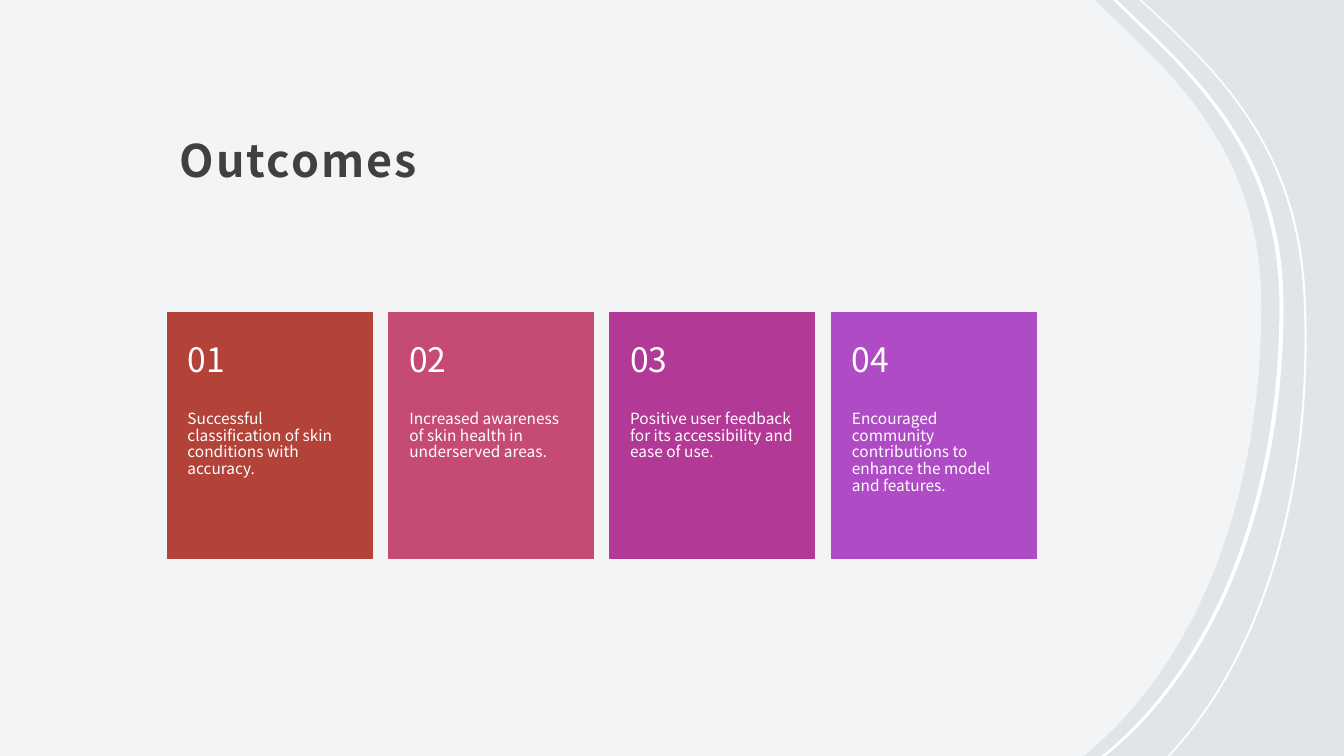
from lxml import etree
from pptx import Presentation
from pptx.dml.color import RGBColor
from pptx.enum.shapes import MSO_SHAPE
from pptx.enum.text import MSO_ANCHOR, MSO_AUTO_SIZE, PP_ALIGN
from pptx.oxml.ns import qn
from pptx.util import Pt

RECT = MSO_SHAPE.RECTANGLE
TOP, MIDDLE, BOTTOM = MSO_ANCHOR.TOP, MSO_ANCHOR.MIDDLE, MSO_ANCHOR.BOTTOM
NO_FIT = MSO_AUTO_SIZE.NONE
LEFT = PP_ALIGN.LEFT

SCALE = 9144
WIDE, HIGH = 1333, 750
FONT = "Noto Sans CJK JP"

COLORS = {
    "back": "E2E5E8",
    "white": "FFFFFF",
    "title": "404040",
    "rust": "B34239",
    "rose": "C54B75",
    "plum": "B33996",
    "violet": "AF4BC5",
}

CARDS = [
    ("rust", "Successful classification of skin conditions with accuracy."),
    ("rose", "Increased awareness of skin health in underserved areas."),
    ("plum", "Positive user feedback for its accessibility and ease of use."),
    ("violet", "Encouraged community contributions to enhance the model and features."),
]
CARD_X, CARD_Y, CARD_W, CARD_H = 166, 310, 203, 244
CARD_SPAN = 659
HEAD_H = 98

INNER = [
    (1086, 0), (1122, 35),
    (1194, 104), (1251, 179), (1251, 304),
    (1251, 492), (1188, 657), (1077, 748),
    (1074, 750),
]
OUTER = [
    (1130, 0), (1156, 24),
    (1229, 93), (1288, 168), (1293, 297),
    (1301, 480), (1254, 645), (1161, 747),
    (1158, 750),
]


def px(value):
    return value * SCALE


def color(name):
    return RGBColor.from_string(COLORS[name])


def split(edge, shift=0):
    points = [(x + shift, y) for x, y in edge]
    return [points[:1], points[1:2], points[2:5], points[5:8], points[8:]]


def bend(area, line, curve):
    line.tag = qn("a:cubicBezTo")
    line.clear()
    for x, y in curve:
        spot = etree.SubElement(line, qn("a:pt"))
        spot.set("x", str(px(x) - area.left))
        spot.set("y", str(px(y) - area.top))


def add_area(slide, parts):
    ends = [(px(x), px(y)) for x, y in (part[-1] for part in parts)]
    builder = slide.shapes.build_freeform(*ends[0])
    builder.add_line_segments(ends[1:], close=True)
    area = builder.convert_to_shape()
    lines = list(area._element.iter(qn("a:lnTo")))
    for line, part in zip(lines, parts[1:]):
        if len(part) == 3:
            bend(area, line, part)
    area.shadow.inherit = False
    area.fill.solid()
    area.fill.fore_color.rgb = color("white")
    area.line.fill.background()
    return area


def add_band(slide, edge, near, far):
    add_area(slide, split(edge, near) + split(edge[::-1], far))


def set_alpha(shape, percent):
    tint = next(shape.fill._xPr.iter(qn("a:srgbClr")))
    etree.SubElement(tint, qn("a:alpha")).set("val", str(percent * 1000))


def set_text(shape, text, size, tone, insets, anchor, spacing):
    frame = shape.text_frame
    frame.text = text
    frame.word_wrap = True
    frame.auto_size = NO_FIT
    frame.vertical_anchor = anchor
    left, top, right, bottom = map(px, insets)
    frame.margin_left, frame.margin_top = left, top
    frame.margin_right, frame.margin_bottom = right, bottom
    line = frame.paragraphs[0]
    line.alignment = LEFT
    line.line_spacing = spacing
    line.font.name = FONT
    line.font.size = Pt(size)
    line.font.color.rgb = color(tone)
    return line


def add_title(slide, text):
    title = slide.shapes.title
    title.left, title.top, title.width, title.height = map(px, (166, 48, 855, 147))
    line = set_text(title, text, 32, "title", (12, 12, 12, 10), BOTTOM, 1.3)
    line.font.bold = True
    line.runs[0].font._element.set("spc", "150")
    slide.shapes._spTree.append(title._element)


def add_box(group, left, height):
    box = group.shapes.add_shape(RECT, *map(px, (left, CARD_Y, CARD_W, height)))
    box.shadow.inherit = False
    return box


def add_card(slide, index, tone, text):
    left = CARD_X + round(index * CARD_SPAN / (len(CARDS) - 1))
    group = slide.shapes.add_group_shape()
    card = add_box(group, left, CARD_H)
    card.fill.solid()
    card.fill.fore_color.rgb = color(tone)
    card.line.color.rgb = color(tone)
    card.line.width = Pt(1)
    set_text(card, text, 11, "white", (20, HEAD_H, 20, 36), TOP, 0.9)
    head = add_box(group, left, HEAD_H)
    head.fill.background()
    head.line.fill.background()
    set_text(head, f"{index + 1:02}", 24, "white", (20, 18, 20, 18), MIDDLE, 0.9)


def main():
    deck = Presentation()
    deck.slide_width, deck.slide_height = px(WIDE), px(HIGH)
    slide = deck.slides.add_slide(deck.slide_layouts[5])
    slide.background.fill.solid()
    slide.background.fill.fore_color.rgb = color("back")

    field = add_area(slide, [[(0, 0)], *split(INNER), [(0, HIGH)]])
    set_alpha(field, 60)
    add_title(slide, "Outcomes")
    add_band(slide, OUTER, 0, 2)
    add_band(slide, INNER, 18, 22)
    for index, (tone, text) in enumerate(CARDS):
        add_card(slide, index, tone, text)
    deck.save("out.pptx")


if __name__ == "__main__":
    main()
